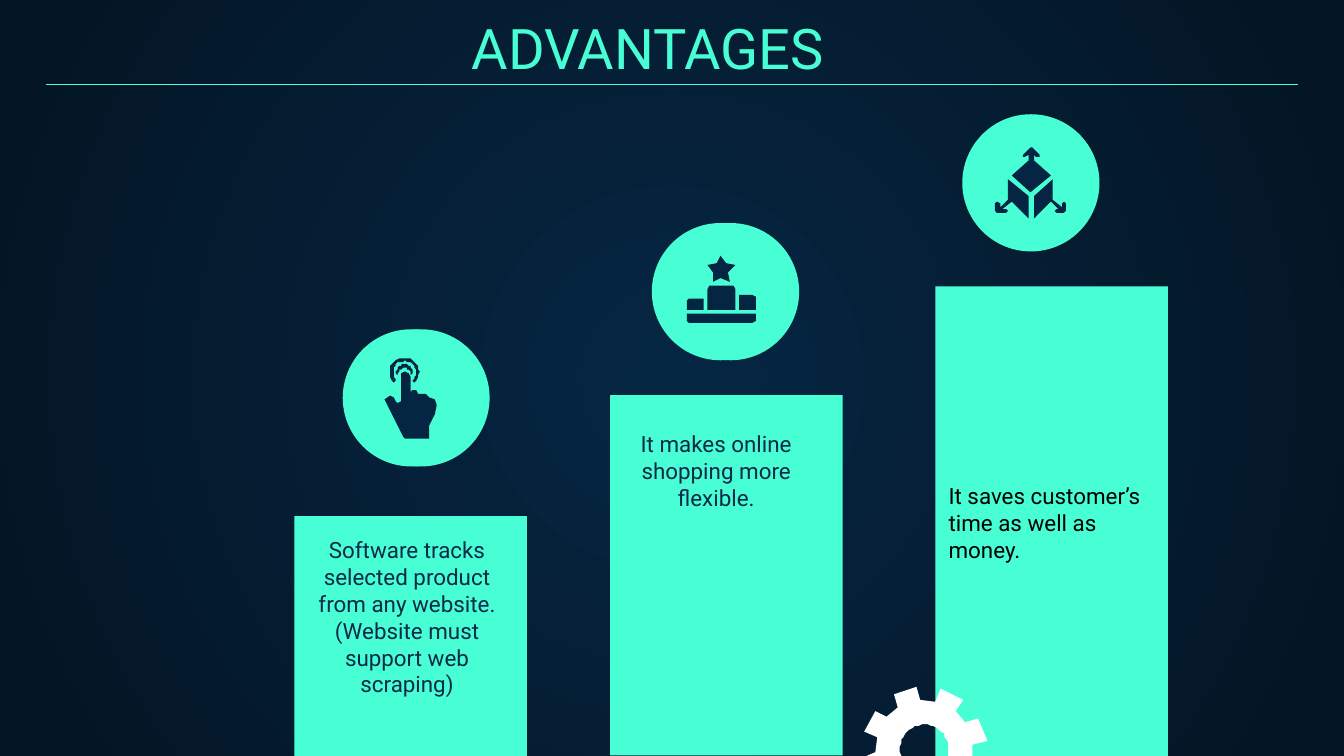
import math

import pptx
import pptx.dml.color
import pptx.enum.shapes
import pptx.enum.text
import pptx.oxml
import pptx.oxml.ns
import pptx.util

Pt = pptx.util.Pt
RGBColor = pptx.dml.color.RGBColor
MINT = RGBColor(0x48, 0xFF, 0xD5)
NAVY = RGBColor(0x05, 0x26, 0x43)
MIDNIGHT = RGBColor(0x04, 0x15, 0x23)
INK = RGBColor(0x0E, 0x2A, 0x47)
BLACK = RGBColor(0, 0, 0)
WHITE = RGBColor(0xFF, 0xFF, 0xFF)
SHAPES = pptx.enum.shapes.MSO_SHAPE
CENTER = pptx.enum.text.PP_ALIGN.CENTER
LEFT = pptx.enum.text.PP_ALIGN.LEFT
NAMESPACE = pptx.oxml.ns.nsdecls("a")

presentation = pptx.Presentation()
presentation.slide_width, presentation.slide_height = Pt(720), Pt(405)
slide = presentation.slides.add_slide(presentation.slide_layouts[6])


def paint(shape, color):
    shape.shadow.inherit = False
    shape.fill.solid()
    shape.fill.fore_color.rgb = color
    shape.line.fill.background()


def arc(x, y, radius, start, end, steps=24):
    angles = [math.radians(start + (end - start) * i / steps) for i in range(steps + 1)]
    return [(x + radius * math.cos(a), y + radius * math.sin(a)) for a in angles]


# Background: radial gradient
background = slide.background.fill
background.gradient()
for stop, position, color in zip(background.gradient_stops, (0, 1), (NAVY, MIDNIGHT)):
    stop.position = position
    stop.color.rgb = color
gradient = slide.element.find(".//" + pptx.oxml.ns.qn("a:gradFill"))
gradient.remove(gradient.find(pptx.oxml.ns.qn("a:lin")))
gradient.append(pptx.oxml.parse_xml(
    f'<a:path {NAMESPACE} path="circle">'
    '<a:fillToRect l="50000" t="50000" r="50000" b="50000"/></a:path>'))

# Rising bars
bars = []
for left, top, height in ((157.7, 276.5, 128.9), (326.9, 211.7, 193), (501.1, 153.4, 253.4)):
    bar = slide.shapes.add_shape(SHAPES.RECTANGLE, Pt(left), Pt(top), Pt(124.6), Pt(height))
    paint(bar, MINT)
    bars.append(bar)

# Title and bar texts
title = slide.shapes.add_textbox(Pt(245.5), Pt(0), Pt(423.4), Pt(45.4))
tracking = slide.shapes.add_textbox(Pt(163.4), Pt(280.1), Pt(109.4), Pt(112.3))
shopping = slide.shapes.add_textbox(Pt(329), Pt(223.2), Pt(109.4), Pt(115.9))
texts = (
    (title, "ADVANTAGES", LEFT, 30, MINT),
    (tracking, "Software tracks selected product from any website. "
               "(Website must support web scraping)", CENTER, 12, INK),
    (shopping, "It makes online shopping more flexible.", CENTER, 12, INK),
    (bars[2], "It saves customer’s time as well as money.", LEFT, 12, BLACK),
)
frame_format = {"word_wrap": True, "margin_left": Pt(7.2), "margin_right": Pt(7.2),
                "margin_top": Pt(7.2), "margin_bottom": Pt(7.2)}
for shape, text, alignment, size, color in texts:
    for name, value in frame_format.items():
        setattr(shape.text_frame, name, value)
    paragraph = shape.text_frame.paragraphs[0]
    paragraph.alignment = alignment
    run = paragraph.add_run()
    run.text = text
    for name, value in {"name": "Roboto", "size": Pt(size)}.items():
        setattr(run.font, name, value)
    run.font.color.rgb = color
bars[2].text_frame.vertical_anchor = pptx.enum.text.MSO_ANCHOR.MIDDLE

# Icon discs: the first two are doubled with a small shift
for left, top in ((188.8, 176.4), (354.6, 119.5), (183.6, 176.4), (349.2, 119.5), (515.5, 61.2)):
    disc = slide.shapes.add_shape(SHAPES.OVAL, Pt(left), Pt(top), Pt(73.5), Pt(73.5))
    paint(disc, MINT)

# Pointing hand with two touch ripples
outer_ripple = arc(216.7, 199.4, 7.9, 135, 405) + arc(216.7, 199.4, 6, 405, 135)
inner_ripple = arc(216.7, 199.4, 4.3, 170, 370) + arc(216.7, 200.9, 3.6, 360, 180)
hand = [(216.7, 199.4), (215.2, 200), (214.6, 201.6), (214.6, 214.6), (213.1, 216),
        (211.7, 215.3), (211, 213.1), (208.8, 212.4), (206.2, 213.5), (206.6, 216),
        (216, 234), (216.7, 234.7), (229.7, 234.7), (230.4, 234), (230.4, 228.2),
        (233.4, 222.5), (234, 216.7), (232.8, 213.8), (230.4, 213.1), (229, 212.4),
        (227.8, 211.3), (226.1, 211), (223.9, 211), (222.7, 209.4), (221, 208.8),
        (219.6, 209.5), (219.6, 201.6), (218.6, 200)]

# Podium with a star
star = [arc(386.4, 144.8, 4.2 if i % 2 else 8, 36 * i - 90, 0, 1)[0] for i in range(10)]
first = [(378.7, 166.3), (378.7, 154.6), (379.9, 153.4), (392.6, 153.4), (393.8, 154.6),
         (393.8, 166.3)]
second = [(396, 166.3), (396, 157.7), (403.4, 157.7), (404.6, 158.9), (404.6, 166.3)]
third = [(367.9, 166.3), (367.9, 161), (369.1, 159.8), (376.6, 159.8), (376.6, 166.3)]
base = [(367.9, 168.5), (404.6, 168.5), (404.6, 171.6), (403.4, 172.8), (369.1, 172.8),
        (367.9, 171.6)]

# Cube with arrows, mirrored about its vertical axis
axis = 552.3
half_side = [(12.2, 96.5), (1.4, 105.1), (1.4, 116.6), (10.8, 108), (15.1, 112.3),
             (13.7, 112.3), (12.4, 113.4), (13.7, 114.5), (18, 114.5), (18.9, 113.4),
             (18.9, 108.7), (17.8, 107.8), (16.6, 108.7), (16.6, 110.9), (12.2, 106.6)]
half_top = [(0.7, 79.2), (4.3, 82.6), (4.3, 84), (2.9, 84.2), (1.2, 82.8), (1.2, 86.4),
            (10.8, 94.3), (0, 103)]
right_side = [(axis + x, y) for x, y in half_side]
left_side = [(axis - x, y) for x, y in half_side]
cube_top = [(axis + x, y) for x, y in half_top] + [(axis - x, y) for x, y in half_top[::-1]]

# Gear with eight teeth around a hole
teeth = [arc(495.2, 401.2, radius, 251.6 + 45 * tooth + turn, 0, 1)[0]
         for tooth in range(8)
         for radius, turn in ((26.2, -14), (33.6, -11), (33.6, 11), (26.2, 14))]
hole = arc(495.2, 401.2, 13, 360, 0, 48)

# Draw every outline; a second contour cuts a hole
icons = [[outline] for outline in (outer_ripple, inner_ripple, hand, star, first, second,
                                   third, base, right_side, left_side, cube_top)]
for contours in icons + [[teeth, hole]]:
    builder = slide.shapes.build_freeform(*contours[0][0], scale=Pt(1))
    builder.add_line_segments(contours[0][1:], close=True)
    for contour in contours[1:]:
        builder.move_to(*contour[0])
        builder.add_line_segments(contour[1:], close=True)
    paint(builder.convert_to_shape(), WHITE if contours[0] is teeth else NAVY)

# Rule under the title
rule = slide.shapes.add_connector(pptx.enum.shapes.MSO_CONNECTOR.STRAIGHT,
                                  Pt(24.5), Pt(45.2), Pt(695.5), Pt(45.2))
rule.line.color.rgb = MINT
rule.line.width = Pt(0.75)
rule.element.spPr.append(pptx.oxml.parse_xml(f"<a:effectLst {NAMESPACE}/>"))

presentation.save("out.pptx")
